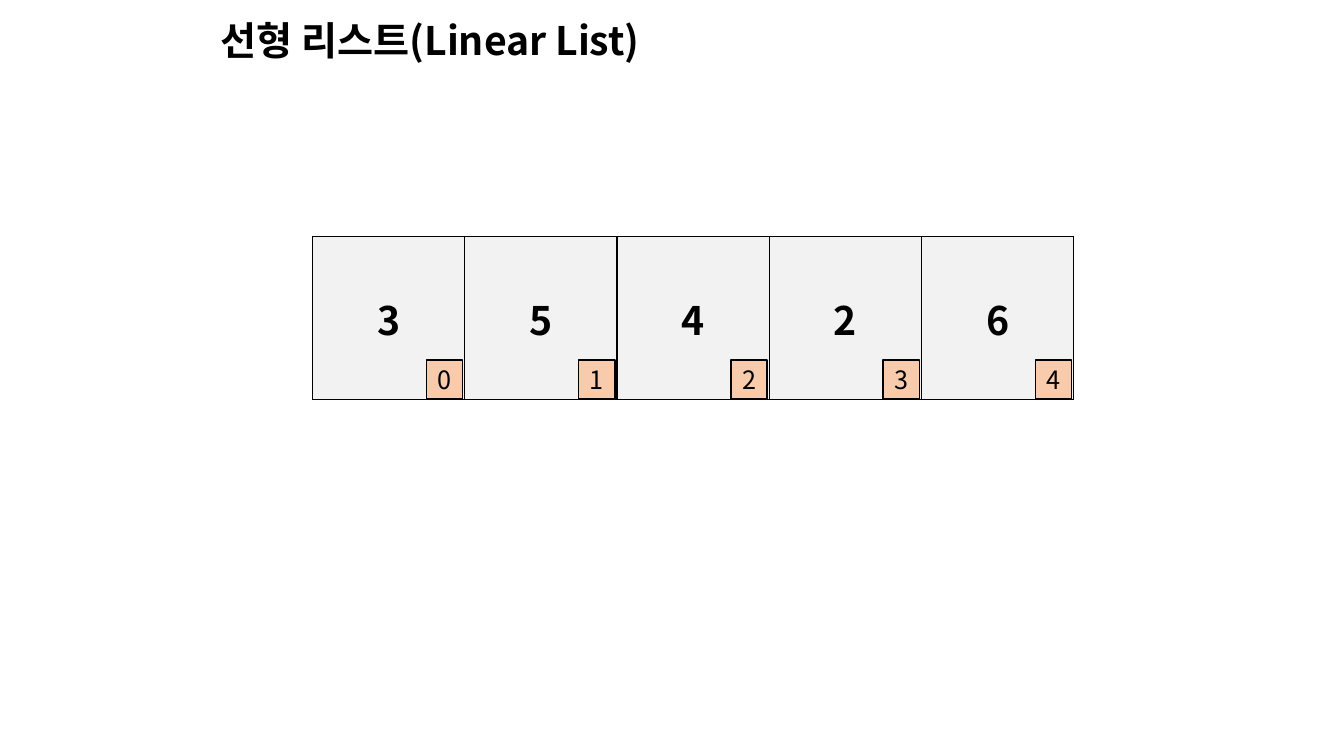
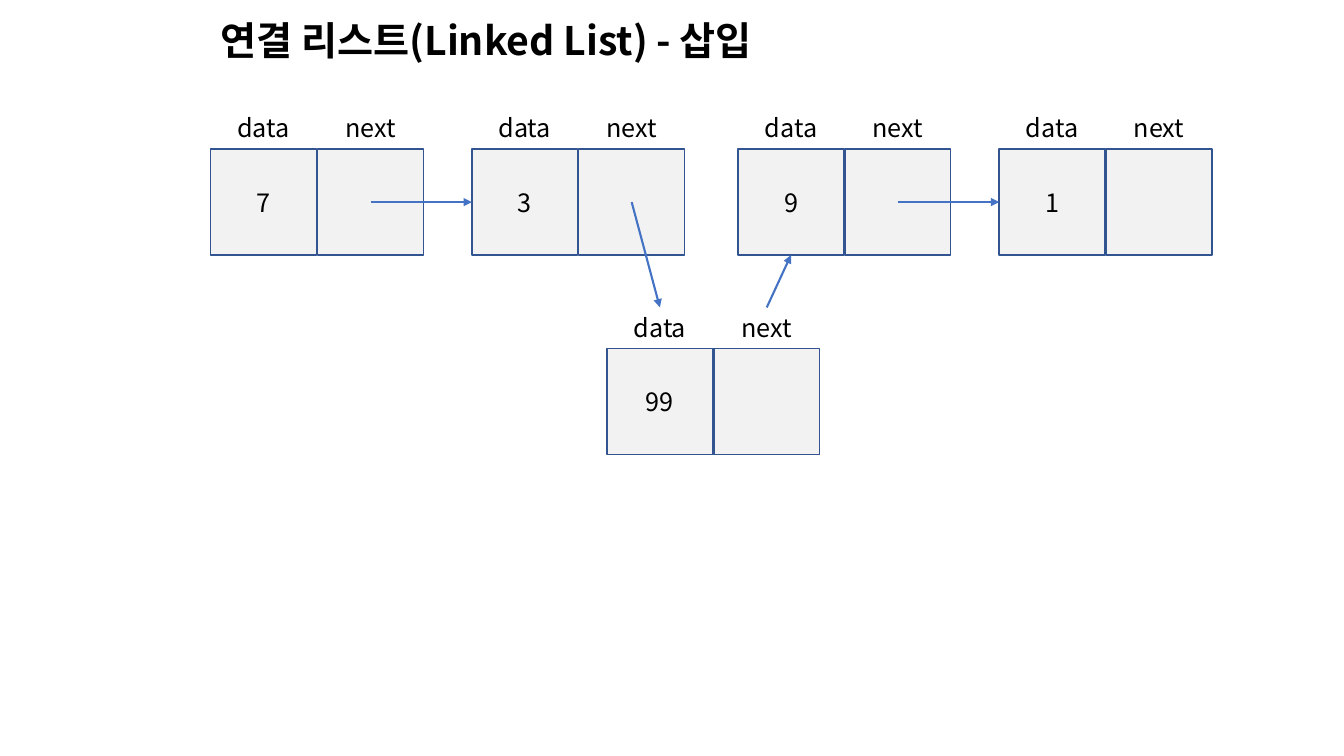
import pptx
import pptx.dml.color
import pptx.enum.shapes
import pptx.enum.text
import pptx.oxml
import pptx.oxml.ns
import pptx.util
from pptx.util import Inches

FONT = "Noto Sans CJK KR"
COLORS = {
    "text": "000000",
    "box": "F2F2F2",
    "index": "F8CBAD",
    "node_line": "325491",
    "arrow": "4472C4",
}
BOX_SIZE = 1.05
BOX_STEP = 1.06
LABEL_WIDTH = 0.74
LABEL_HEIGHT = 0.4
LABEL_RISE = 0.41
CENTER = pptx.enum.text.PP_ALIGN.CENTER
MIDDLE = pptx.enum.text.MSO_ANCHOR.MIDDLE
TOP, LEFT, BOTTOM = 0, 1, 2


def color(name):
    return pptx.dml.color.RGBColor.from_string(COLORS[name])


def child(parent, tag, **attributes):
    element = pptx.oxml.parse_xml(f"<{tag} {pptx.oxml.ns.nsdecls('a')}/>")
    for key, value in attributes.items():
        element.set(key, value)
    parent.append(element)
    return element


def write(frame, text, size=18, bold=False, align=CENTER):
    frame.text = text
    paragraph = frame.paragraphs[0]
    paragraph.alignment = align
    for run in paragraph.runs:
        run.font.name = FONT
        run.font.size = pptx.util.Pt(size)
        run.font.bold = bold
        run.font.color.rgb = color("text")
        child(run.font._element, "a:ea", typeface=FONT)


def add_title(slide, text):
    title = slide.shapes.add_textbox(Inches(2.09), Inches(0.11), Inches(6.67), Inches(0.57))
    title.text_frame.word_wrap = True
    write(title.text_frame, text, 28, True, pptx.enum.text.PP_ALIGN.LEFT)


def add_box(slide, left, top, width, height, fill, line, text=""):
    box = slide.shapes.add_shape(
        pptx.enum.shapes.MSO_SHAPE.RECTANGLE,
        Inches(left), Inches(top), Inches(width), Inches(height))
    box.shadow.inherit = False
    box.fill.solid()
    box.fill.fore_color.rgb = color(fill)
    box.line.color.rgb = color(line)
    box.line.width = pptx.util.Pt(1)
    box.text_frame.vertical_anchor = MIDDLE
    if text:
        write(box.text_frame, text)
    return box


def add_label(slide, left, top, text):
    label = slide.shapes.add_textbox(
        Inches(left), Inches(top), Inches(LABEL_WIDTH), Inches(LABEL_HEIGHT))
    label.text_frame.word_wrap = False
    write(label.text_frame, text)
    return label


def add_node(slide, left, top, value):
    node = {}
    for column, (field, text) in enumerate((("data", value), ("next", ""))):
        box_left = left + column * BOX_STEP
        box = add_box(slide, box_left, top, BOX_SIZE, BOX_SIZE, "box", "node_line", text)
        label_left = box_left + (BOX_SIZE - LABEL_WIDTH) / 2
        label = add_label(slide, label_left, top - LABEL_RISE, field)
        node[field] = {"box": box, "label": label}
    return node


def add_arrow(slide, source, target, target_side, source_side=None):
    x = source.left + source.width // 2
    y = source.top + source.height // 2
    arrow = slide.shapes.add_connector(pptx.enum.shapes.MSO_CONNECTOR.STRAIGHT, x, y, x, y)
    if source_side is not None:
        arrow.begin_connect(source, source_side)
    arrow.end_connect(target, target_side)
    arrow.line.color.rgb = color("arrow")
    arrow.line.width = pptx.util.Pt(1.5)
    child(arrow.line._get_or_add_ln(), "a:tailEnd", type="triangle")
    child(arrow._element.spPr, "a:effectLst")


def set_borders(cell):
    properties = cell._tc.get_or_add_tcPr()
    for position, side in enumerate(("L", "R", "T", "B")):
        border = child(properties, f"a:ln{side}", w=str(pptx.util.Pt(1)))
        child(child(border, "a:solidFill"), "a:srgbClr", val=COLORS["text"])
        properties.remove(border)
        properties.insert(position, border)


def add_array(slide, values, left, top, cell_width, height):
    table = slide.shapes.add_table(
        1, len(values), Inches(left), Inches(top),
        Inches(cell_width * len(values)), Inches(height)).table
    table.first_row = False
    table.horz_banding = False
    for index, value in enumerate(values):
        table.columns[index].width = Inches(cell_width)
        cell = table.cell(0, index)
        cell.fill.solid()
        cell.fill.fore_color.rgb = color("box")
        cell.vertical_anchor = MIDDLE
        write(cell.text_frame, value, 28, True)
        set_borders(cell)
    for index in range(len(values)):
        add_box(slide, left + 1.13 + index * cell_width, top + height - 0.39,
                0.36, 0.39, "index", "text", str(index))


def build_linear_list(slide):
    add_title(slide, "선형 리스트(Linear List)")
    add_array(slide, ["3", "5", "4", "2", "6"], 3.1, 2.35, 1.51, 1.61)


def build_linked_list(slide):
    add_title(slide, "연결 리스트(Linked List) - 삽입")
    first, second, third, fourth = [
        add_node(slide, left, 1.48, value)
        for left, value in ((2.09, "7"), (4.68, "3"), (7.32, "9"), (9.91, "1"))]
    inserted = add_node(slide, 6.02, 3.46, "99")
    add_arrow(slide, first["next"]["box"], second["data"]["box"], LEFT)
    add_arrow(slide, second["next"]["box"], inserted["data"]["label"], TOP)
    add_arrow(slide, third["next"]["box"], fourth["data"]["box"], LEFT)
    add_arrow(slide, inserted["next"]["label"], third["data"]["box"], BOTTOM, TOP)


def main():
    deck = pptx.Presentation()
    deck.slide_width = Inches(13.33)
    deck.slide_height = Inches(7.5)
    for build in (build_linear_list, build_linked_list):
        build(deck.slides.add_slide(deck.slide_layouts[6]))
    deck.save("out.pptx")


if __name__ == "__main__":
    main()
